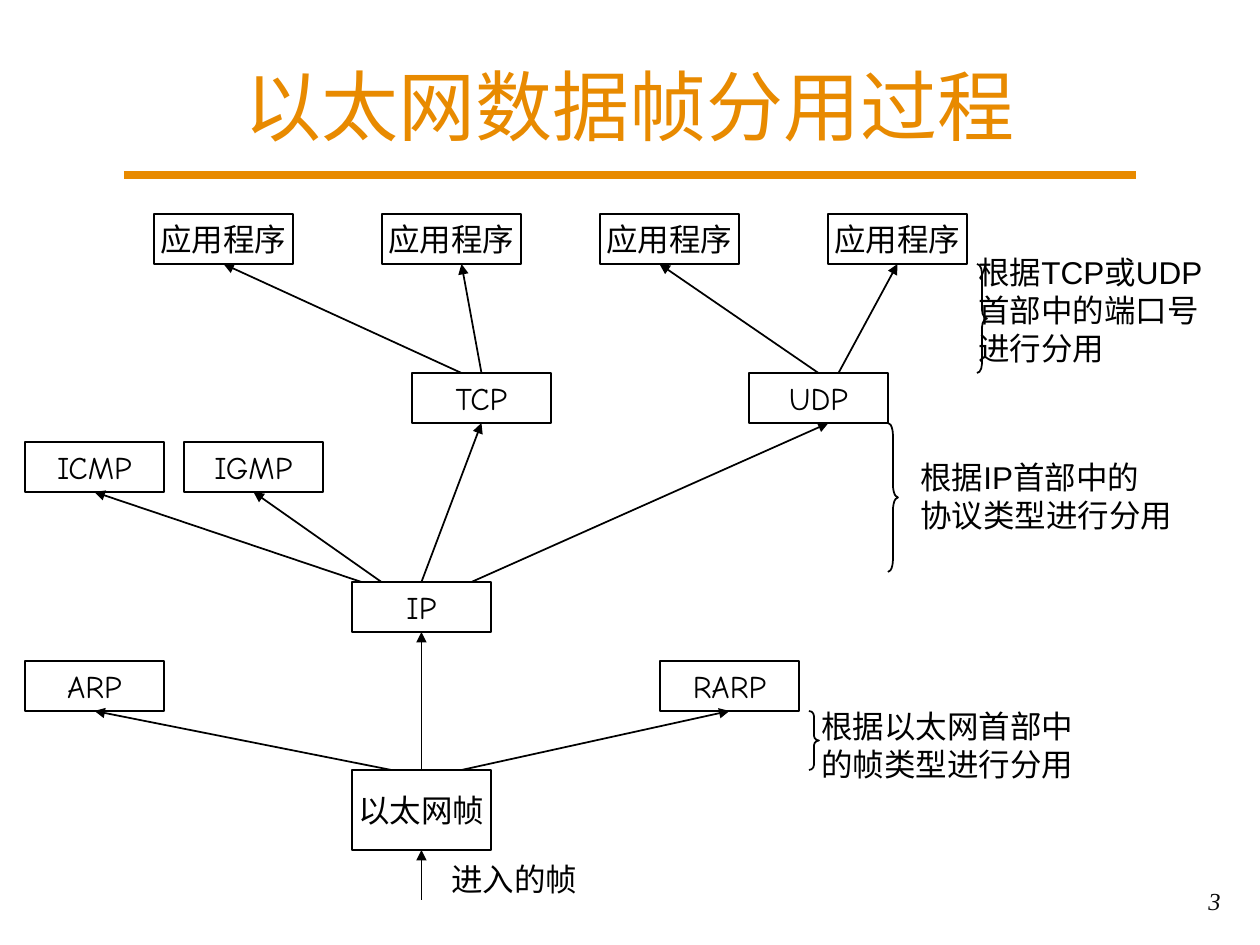
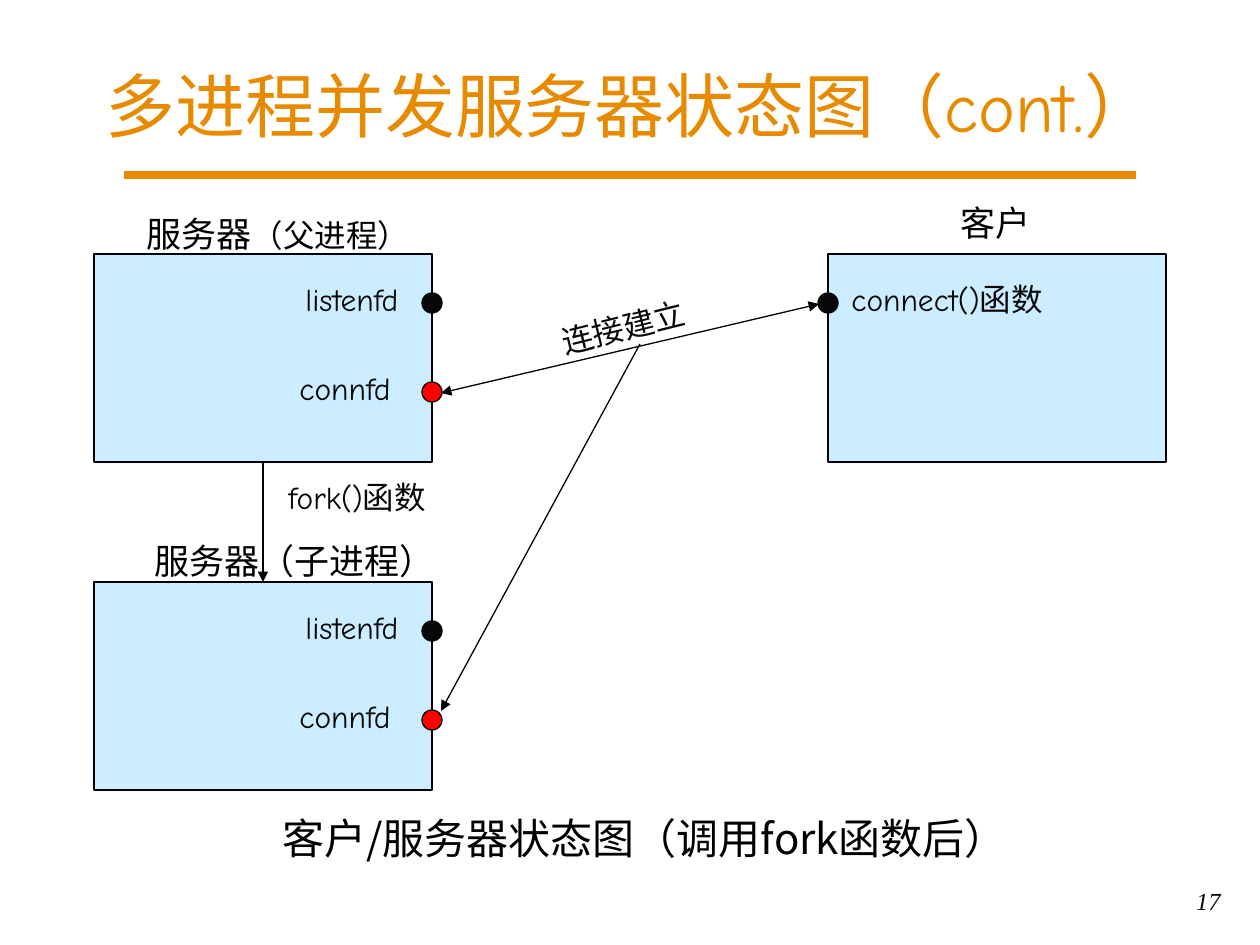
from lxml import etree
from pptx import Presentation, util as u
from pptx.dml.color import RGBColor
from pptx.enum import shapes as sh, text as tx
from pptx.oxml.ns import qn

SCALE = 914400 / 126
ORANGE = RGBColor(0xE8, 0x8A, 0x00)
BLACK = RGBColor(0, 0, 0)
INK = RGBColor(8, 8, 8)
RED = RGBColor(255, 0, 0)
SKY = RGBColor(0xCC, 0xEC, 0xFF)
COMIC, ARIAL, NOTO, TIMES = "Comic Neue", "Arial", "Noto Sans CJK JP", "Times New Roman"

BOX_W, BOX_H = 139, 50
APP = "应用程序"
NODES = {
    "eth": ("以太网帧", 352, 770, 80),
    "arp": ("ARP", 25, 661, BOX_H),
    "rarp": ("RARP", 660, 661, BOX_H),
    "ip": ("IP", 352, 582, BOX_H),
    "icmp": ("ICMP", 25, 442, BOX_H),
    "igmp": ("IGMP", 184, 442, BOX_H),
    "tcp": ("TCP", 412, 373, BOX_H),
    "udp": ("UDP", 749, 373, BOX_H),
    "app1": (APP, 154, 214, BOX_H),
    "app2": (APP, 382, 214, BOX_H),
    "app3": (APP, 600, 214, BOX_H),
    "app4": (APP, 828, 214, BOX_H),
}
LINKS = [
    ("eth", 0, "ip", 0), ("eth", -30, "arp", 0), ("eth", 40, "rarp", 0),
    ("ip", -60, "icmp", 0), ("ip", -40, "igmp", 0),
    ("ip", 0, "tcp", 0), ("ip", 50, "udp", 10),
    ("tcp", -20, "app1", 0), ("tcp", 0, "app2", 10),
    ("udp", 0, "app3", -10), ("udp", 20, "app4", 0),
]
BRACES = [(809, 711, 59), (888, 423, 149), (977, 264, 109)]
NOTES = [
    (["进入的帧"], 439, 854, 151, 50),
    (["根据以太网首部中", "的帧类型进行分用"], 809, 701, 277, 88),
    (["根据IP首部中的", "协议类型进行分用"], 908, 452, 277, 88),
    (["根据TCP或UDP", "首部中的端口号", "进行分用"], 966, 247, 272, 126),
]

PANE_W, PANE_H, DOT = 338, 208, 20
PANES = [(94, 254), (828, 254), (94, 582)]
SERVERS = [PANES[0], PANES[2]]
PORTS = [("listenfd", 199, 20, 120, 49, INK), ("connfd", 193, 109, 117, 138, RED)]
LABELS = [
    ("客户", 948, 195, 95, 55, 20, ARIAL, BLACK, 0),
    ("connect()函数", 839, 274, 224, 50, 18, COMIC, INK, 0),
    ("客户/服务器状态图（调用fork函数后）", 270, 806, 790, 63, 24, NOTO, BLACK, 0),
    ("连接建立", 548, 302, 151, 50, 18, ARIAL, INK, 346.1),
    ("服务器（子进程）", 142, 533, 360, 55, 20, COMIC, BLACK, 0),
    ("fork()函数", 276, 472, 170, 50, 18, COMIC, INK, 0),
]
ARROWS = [((819, 304), (441, 393), True), ((263, 462), (263, 582), False),
          ((640, 344), (441, 711), False)]


def px(*nums):
    return [u.Emu(round(n * SCALE)) for n in nums]


def style(para, size, face, ink, align=tx.PP_ALIGN.LEFT):
    para.alignment = align
    font = para.font
    font.size, font.name, font.color.rgb = u.Pt(size), face, ink


def line(slide, start, end, ink=BLACK, width=1.0, ends=("tailEnd",)):
    link = slide.shapes.add_connector(sh.MSO_CONNECTOR.STRAIGHT, *px(*start, *end))
    link.line.color.rgb, link.line.width = ink, u.Pt(width)
    prop = link._element.spPr
    for end in ends:
        etree.SubElement(prop.find(qn("a:ln")), qn("a:" + end), type="triangle")
    etree.SubElement(prop, qn("a:effectLst"))


def shape(slide, kind, x, y, w, h, fill=None, width=1.0):
    item = slide.shapes.add_shape(kind, *px(x, y, w, h))
    item.shadow.inherit = False
    if fill is None:
        item.fill.background()
    else:
        item.fill.solid()
        item.fill.fore_color.rgb = fill
    item.line.color.rgb, item.line.width = BLACK, u.Pt(width)
    return item


def note(slide, rows, x, y, w, h, size=18, face=ARIAL, ink=BLACK, turn=0):
    box = slide.shapes.add_textbox(*px(x, y, w, h))
    box.rotation = turn
    frame = box.text_frame
    frame.word_wrap = False
    frame.text = "\n".join(rows)
    for para in frame.paragraphs:
        style(para, size, face, ink)
    return frame


def start(deck, title, size, number):
    slide = deck.slides.add_slide(deck.slide_layouts[5])
    line(slide, (124, 175), (1136, 175), ORANGE, 4.5, ())
    head = slide.shapes.title
    head.left, head.top, head.width, head.height = px(42, 26, 1176, 158)
    head.text_frame.text = title
    head.text_frame.vertical_anchor = tx.MSO_ANCHOR.MIDDLE
    style(head.text_frame.paragraphs[0], size, COMIC, ORANGE, tx.PP_ALIGN.CENTER)
    foot = note(slide, [str(number)], 918, 880, 315, 65, 14, TIMES, INK)
    foot.word_wrap = True
    foot.paragraphs[0].alignment = tx.PP_ALIGN.RIGHT
    foot.paragraphs[0].font.italic = True
    return slide


def demux(deck):
    slide = start(deck, "以太网数据帧分用过程", 44, 3)
    for name, x, y, h in NODES.values():
        frame = shape(slide, sh.MSO_SHAPE.RECTANGLE, x, y, BOX_W, h).text_frame
        frame.text, frame.word_wrap = name, False
        frame.vertical_anchor = tx.MSO_ANCHOR.MIDDLE
        style(frame.paragraphs[0], 18, COMIC, BLACK, tx.PP_ALIGN.CENTER)
    mid = BOX_W / 2
    for low, out, top, into in LINKS:
        _, x1, y1, _ = NODES[low]
        _, x2, y2, h = NODES[top]
        line(slide, (x1 + mid + out, y1), (x2 + mid + into, y2 + h))
    _, x, y, h = NODES["eth"]
    line(slide, (x + mid, y + h + 50), (x + mid, y + h))
    for x, y, h in BRACES:
        brace = shape(slide, sh.MSO_SHAPE.RIGHT_BRACE, x, y, 10, h)
        brace.adjustments[0] = h / 120
    for item in NOTES:
        note(slide, *item)


def server(deck):
    slide = start(deck, "多进程并发服务器状态图（cont.）", 40, 17)
    for x, y in PANES:
        shape(slide, sh.MSO_SHAPE.RECTANGLE, x, y, PANE_W, PANE_H, SKY, 0.75)
    dots = [(PANES[1][0], PANES[1][1] + 49, INK)]
    for x, y in SERVERS:
        for name, dx, dy, w, mid, ink in PORTS:
            note(slide, [name], x + dx, y + dy, w, 50, 18, COMIC, INK)
            dots.append((x + PANE_W, y + mid, ink))
    for x, y, ink in dots:
        shape(slide, sh.MSO_SHAPE.OVAL, x - DOT / 2, y - DOT / 2, DOT, DOT, ink, 0.75)
    for a, b, both in ARROWS:
        line(slide, a, b, width=0.75, ends=("headEnd", "tailEnd") if both else ("tailEnd",))
    for name, *rest in LABELS:
        note(slide, [name], *rest)
    run = note(slide, ["服务器"], 134, 206, 360, 55, 20).paragraphs[0].add_run()
    run.text, run.font.size = "（父进程）", u.Pt(18)


def main():
    deck = Presentation()
    deck.slide_width, deck.slide_height = px(1260, 945)
    demux(deck)
    server(deck)
    deck.save("out.pptx")


if __name__ == "__main__":
    main()
